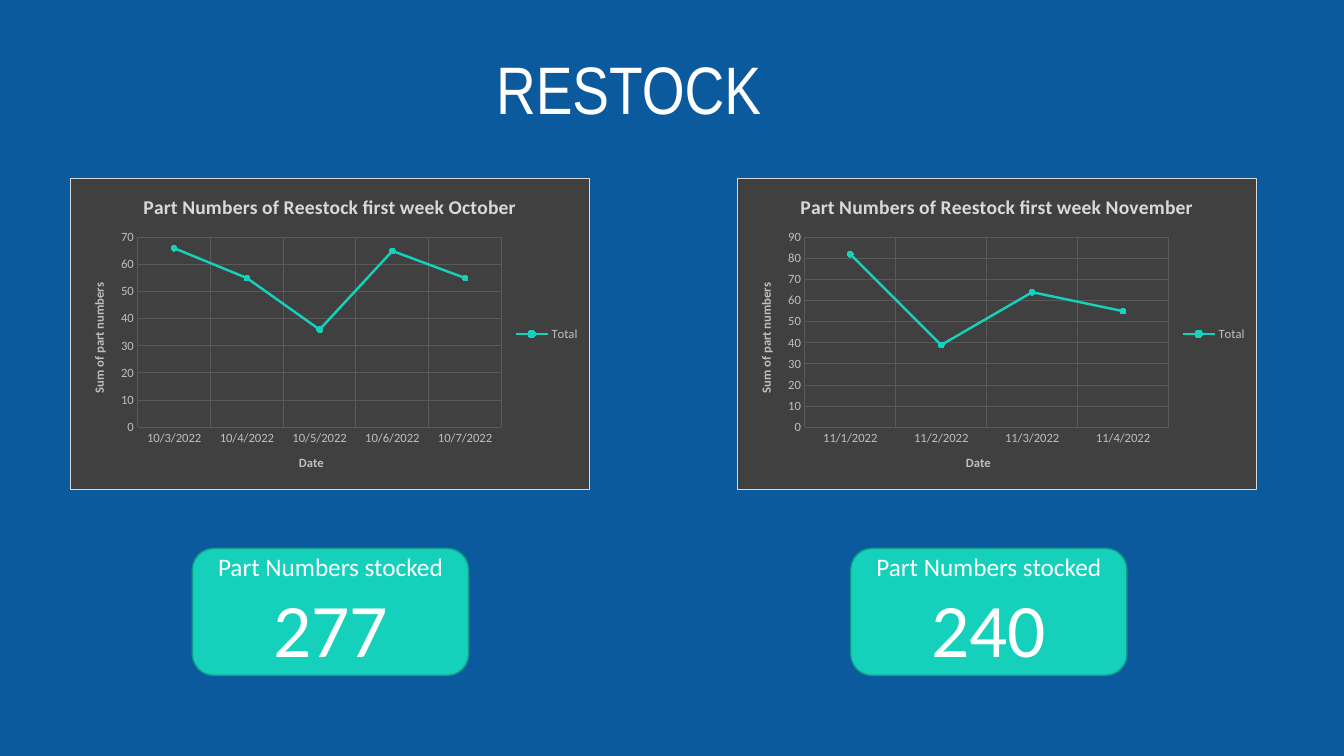
"""Build the RESTOCK slide with two weekly line charts and their totals."""
from dataclasses import dataclass

from lxml import etree
from pptx import Presentation
from pptx.chart.data import CategoryChartData
from pptx.dml.color import RGBColor
from pptx.enum.chart import XL_CHART_TYPE, XL_LEGEND_POSITION, XL_MARKER_STYLE, XL_TICK_MARK
from pptx.enum.shapes import MSO_SHAPE
from pptx.enum.text import MSO_ANCHOR, PP_ALIGN
from pptx.oxml import parse_xml
from pptx.util import Cm, Pt

LINE_CHART = XL_CHART_TYPE.LINE_MARKERS
LEGEND_RIGHT = XL_LEGEND_POSITION.RIGHT
CIRCLE = XL_MARKER_STYLE.CIRCLE
NO_TICK = XL_TICK_MARK.NONE
ROUNDED = MSO_SHAPE.ROUNDED_RECTANGLE
MIDDLE, BOTTOM = MSO_ANCHOR.MIDDLE, MSO_ANCHOR.BOTTOM
CENTER = PP_ALIGN.CENTER

COLORS = {
    "background": "0C5A9E",
    "white": "FFFFFF",
    "teal": "15D1BB",
    "teal_edge": "109B8A",
    "panel": "404040",
    "border": "D9D9D9",
    "label": "BFBFBF",
    "grid": "595959",
}
CHART_NS = "http://schemas.openxmlformats.org/drawingml/2006/chart"
DRAWING_NS = "http://schemas.openxmlformats.org/drawingml/2006/main"
PLOT_AREA = {"x": 0.13, "y": 0.19, "w": 0.7, "h": 0.61}


@dataclass(frozen=True)
class Week:
    title: str
    month: int
    first_day: int
    counts: tuple[int, ...]
    chart_left: float
    card_left: float

    @property
    def dates(self) -> list[str]:
        return [f"{self.month}/{self.first_day + day}/2022" for day in range(len(self.counts))]


WEEKS = (
    Week("Part Numbers of Reestock first week October", 10, 3, (66, 55, 36, 65, 55), 1.76, 4.85),
    Week("Part Numbers of Reestock first week November", 11, 1, (82, 39, 64, 55), 18.57, 21.44),
)


def color(name: str) -> RGBColor:
    return RGBColor.from_string(COLORS[name])


def style_font(font, size: float, shade: str, bold: bool = False, face: str = "Calibri") -> None:
    font.name, font.size, font.bold = face, Pt(size), bold
    font.color.rgb = color(shade)


def add_span(para, text: str, size: float, face: str = "Calibri") -> None:
    para.alignment = CENTER
    span = para.add_run()
    span.text = text
    style_font(span.font, size, "white", face=face)


def add_heading(page, text: str) -> None:
    box = page.shapes.add_textbox(Cm(5.89), Cm(0.91), Cm(19.91), Cm(2.46))
    frame = box.text_frame
    frame.word_wrap = True
    frame.vertical_anchor = BOTTOM
    frame.margin_left = frame.margin_right = 0
    para = frame.paragraphs[0]
    para.line_spacing = 0.9
    add_span(para, text, 48, "Arial Narrow")


def add_card(page, week: Week) -> None:
    card = page.shapes.add_shape(ROUNDED, Cm(week.card_left), Cm(13.82), Cm(6.96), Cm(3.2))
    card.shadow.inherit = False
    card.fill.solid()
    card.fill.fore_color.rgb = color("teal")
    card.line.color.rgb = color("teal_edge")
    card.line.width = Pt(1)
    frame = card.text_frame
    frame.word_wrap = True
    frame.vertical_anchor = MIDDLE
    add_span(frame.paragraphs[0], "Part Numbers stocked", 18)
    add_span(frame.add_paragraph(), str(sum(week.counts)), 54)


def set_title(owner, text: str, size: float, shade: str) -> None:
    span = owner.text_frame.paragraphs[0].add_run()
    span.text = text
    style_font(span.font, size, shade, bold=True)


def style_axis(axis, title: str) -> None:
    axis.major_tick_mark = axis.minor_tick_mark = NO_TICK
    axis.format.line.fill.background()
    axis.has_major_gridlines = True
    grid = axis.major_gridlines.format.line
    grid.color.rgb = color("grid")
    grid.width = Pt(0.75)
    style_font(axis.tick_labels.font, 9, "label")
    set_title(axis.axis_title, title, 9, "label")


def place_plot(chart) -> None:
    plot_area = chart.element.find(f".//{{{CHART_NS}}}plotArea")
    for old in plot_area.findall(f"{{{CHART_NS}}}layout"):
        plot_area.remove(old)
    layout = etree.Element(f"{{{CHART_NS}}}layout")
    manual = etree.SubElement(layout, f"{{{CHART_NS}}}manualLayout")
    settings = {"layoutTarget": "inner", "xMode": "edge", "yMode": "edge", **PLOT_AREA}
    for tag, value in settings.items():
        etree.SubElement(manual, f"{{{CHART_NS}}}{tag}", val=str(value))
    plot_area.insert(0, layout)


def paint_panel(chart) -> None:
    panel = parse_xml(
        f'<c:spPr xmlns:c="{CHART_NS}" xmlns:a="{DRAWING_NS}">'
        f'<a:solidFill><a:srgbClr val="{COLORS["panel"]}"/></a:solidFill>'
        f'<a:ln w="{Pt(0.75)}"><a:solidFill><a:srgbClr val="{COLORS["border"]}"/>'
        "</a:solidFill></a:ln></c:spPr>"
    )
    chart.element.find(f"{{{CHART_NS}}}chart").addnext(panel)


def add_week_chart(page, week: Week) -> None:
    data = CategoryChartData()
    data.categories = week.dates
    data.add_series("Total", week.counts)
    frame = page.shapes.add_chart(
        LINE_CHART, Cm(week.chart_left), Cm(4.48), Cm(13.12), Cm(7.87), data
    )
    chart = frame.chart
    style_font(chart.font, 10, "label")
    chart.has_title = True
    set_title(chart.chart_title, week.title, 14, "border")
    chart.has_legend = True
    chart.legend.position = LEGEND_RIGHT
    chart.legend.include_in_layout = False
    style_font(chart.legend.font, 9, "label")
    style_axis(chart.category_axis, "Date")
    style_axis(chart.value_axis, "Sum of part numbers")
    chart.plots[0].vary_by_categories = False
    total = chart.plots[0].series[0]
    total.smooth = False
    total.format.line.color.rgb = color("teal")
    total.format.line.width = Pt(1.75)
    total.marker.style = CIRCLE
    total.marker.size = 4
    total.marker.format.fill.solid()
    total.marker.format.fill.fore_color.rgb = color("teal")
    total.marker.format.line.color.rgb = color("teal")
    place_plot(chart)
    paint_panel(chart)


def main() -> None:
    deck = Presentation()
    deck.slide_width, deck.slide_height = Cm(33.87), Cm(19.05)
    page = deck.slides.add_slide(deck.slide_layouts[6])
    page.background.fill.solid()
    page.background.fill.fore_color.rgb = color("background")
    add_heading(page, "RESTOCK")
    for week in WEEKS:
        add_week_chart(page, week)
        add_card(page, week)
    deck.save("out.pptx")


if __name__ == "__main__":
    main()
